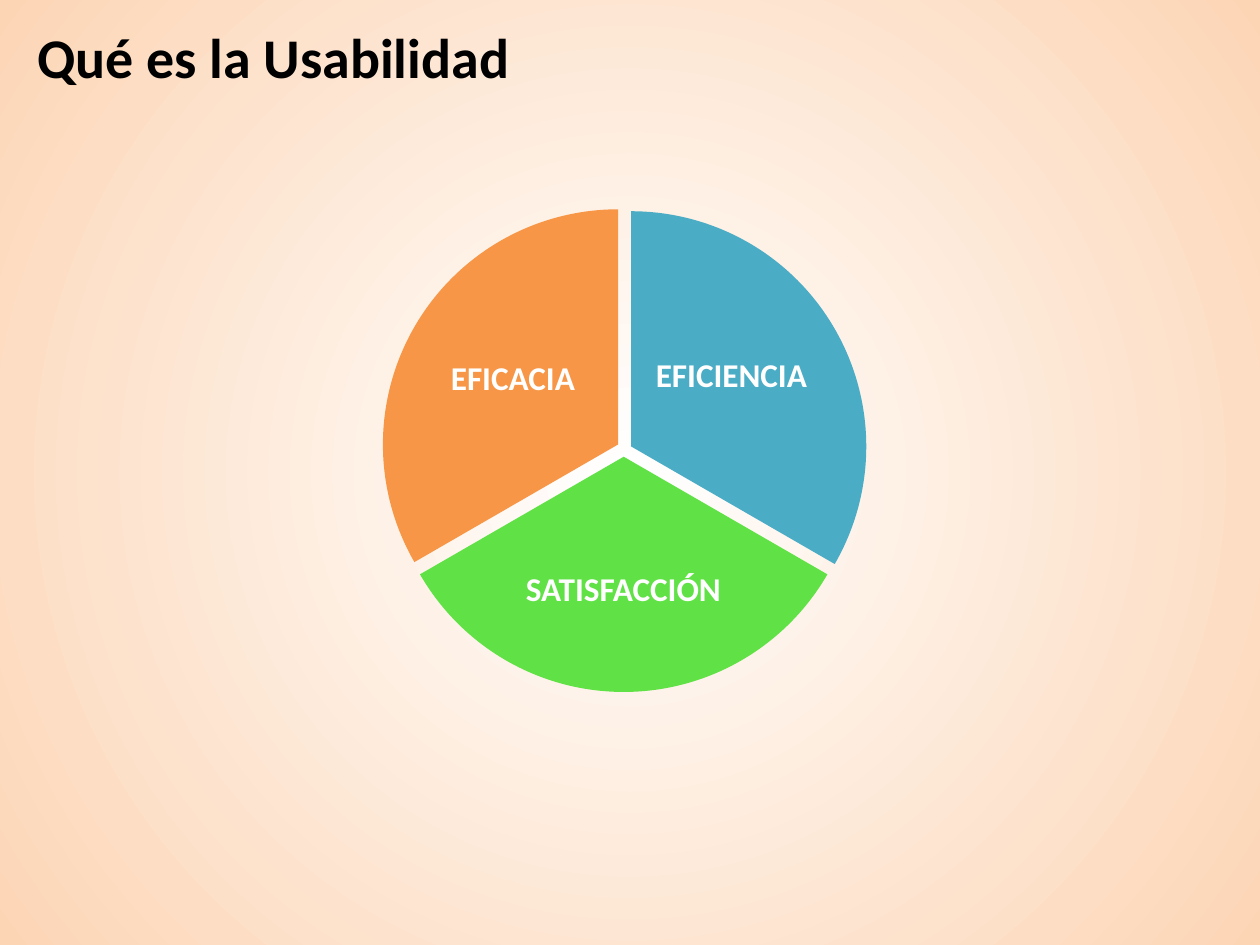
from typing import NamedTuple

from lxml import etree
from pptx import Presentation
from pptx.dml.color import RGBColor
from pptx.enum.shapes import MSO_SHAPE
from pptx.enum.text import MSO_ANCHOR, MSO_AUTO_SIZE, PP_ALIGN
from pptx.oxml.ns import qn
from pptx.util import Pt

PIE = MSO_SHAPE.PIE
MIDDLE = MSO_ANCHOR.MIDDLE
FIT_SHAPE = MSO_AUTO_SIZE.SHAPE_TO_FIT_TEXT
LEFT, CENTER = PP_ALIGN.LEFT, PP_ALIGN.CENTER

COLORS = {
    "white": "FFFFFF",
    "black": "000000",
    "peach": "FCD5B5",
    "blue": "4BACC6",
    "green": "60E146",
    "orange": "F79646",
}
FONT = "Calibri"
DIAMETER = 268.8
SWEEP = 120
UNITS_PER_DEGREE = 0.6
LABEL_INSET = 2.2


class Box(NamedTuple):
    left: float
    top: float
    width: float
    height: float


class Sector(NamedTuple):
    label: str
    color: str
    start: int
    left: float
    top: float
    label_box: Box


SECTORS = [
    Sector("EFICIENCIA", "blue", 270, 226.2, 120.7, Box(372.3, 170.4, 91.4, 89.3)),
    Sector("SATISFACCIÓN", "green", 30, 222, 126.6, Box(295.4, 296, 121.7, 83.5)),
    Sector("EFICACIA", "orange", 150, 218.8, 119.6, Box(247.4, 172.4, 91.4, 89.3)),
]


def rgb(name: str) -> RGBColor:
    return RGBColor.from_string(COLORS[name])


def set_background(slide) -> None:
    fill = slide.background.fill
    fill.gradient()
    for stop, position, color in zip(fill.gradient_stops, (0, 1), ("white", "peach")):
        stop.position = position
        stop.color.rgb = rgb(color)
    grad = slide.element.find(".//" + qn("a:gradFill"))
    lin = grad.find(qn("a:lin"))
    radial = etree.Element(qn("a:path"), {"path": "circle"})
    center = dict.fromkeys("ltrb", "50000")
    etree.SubElement(radial, qn("a:fillToRect"), center)
    grad.replace(lin, radial)


def add_text(shapes, text: str, box: Box, size: float, color: str, align: PP_ALIGN):
    sp = shapes.add_textbox(*map(Pt, box))
    tf = sp.text_frame
    p = tf.paragraphs[0]
    p.text = text
    p.alignment = align
    p.font.name = FONT
    p.font.size = Pt(size)
    p.font.bold = True
    p.font.color.rgb = rgb(color)
    return tf


def add_sector(shapes, sector: Sector) -> None:
    sp = shapes.add_shape(PIE, Pt(sector.left), Pt(sector.top), Pt(DIAMETER), Pt(DIAMETER))
    sp.shadow.inherit = False
    sp.adjustments[0] = sector.start * UNITS_PER_DEGREE
    sp.adjustments[1] = (sector.start + SWEEP) % 360 * UNITS_PER_DEGREE
    sp.fill.solid()
    sp.fill.fore_color.rgb = rgb(sector.color)
    sp.line.fill.background()

    tf = add_text(shapes, sector.label, sector.label_box, 19, "white", CENTER)
    tf.word_wrap = True
    tf.vertical_anchor = MIDDLE
    tf.margin_left = tf.margin_right = tf.margin_top = tf.margin_bottom = Pt(LABEL_INSET)
    tf.paragraphs[0].line_spacing = 0.9


def main() -> None:
    prs = Presentation()
    prs.slide_width, prs.slide_height = Pt(720), Pt(540)
    s = prs.slides.add_slide(prs.slide_layouts[6])
    set_background(s)

    title = add_text(s.shapes, "Qué es la Usabilidad", Box(14.2, 9.4, 286.6, 46.1),
                     32, "black", LEFT)
    title.word_wrap = False
    title.auto_size = FIT_SHAPE

    pie = s.shapes.add_group_shape()
    for sector in SECTORS:
        add_sector(pie.shapes, sector)

    prs.save("out.pptx")


if __name__ == "__main__":
    main()
